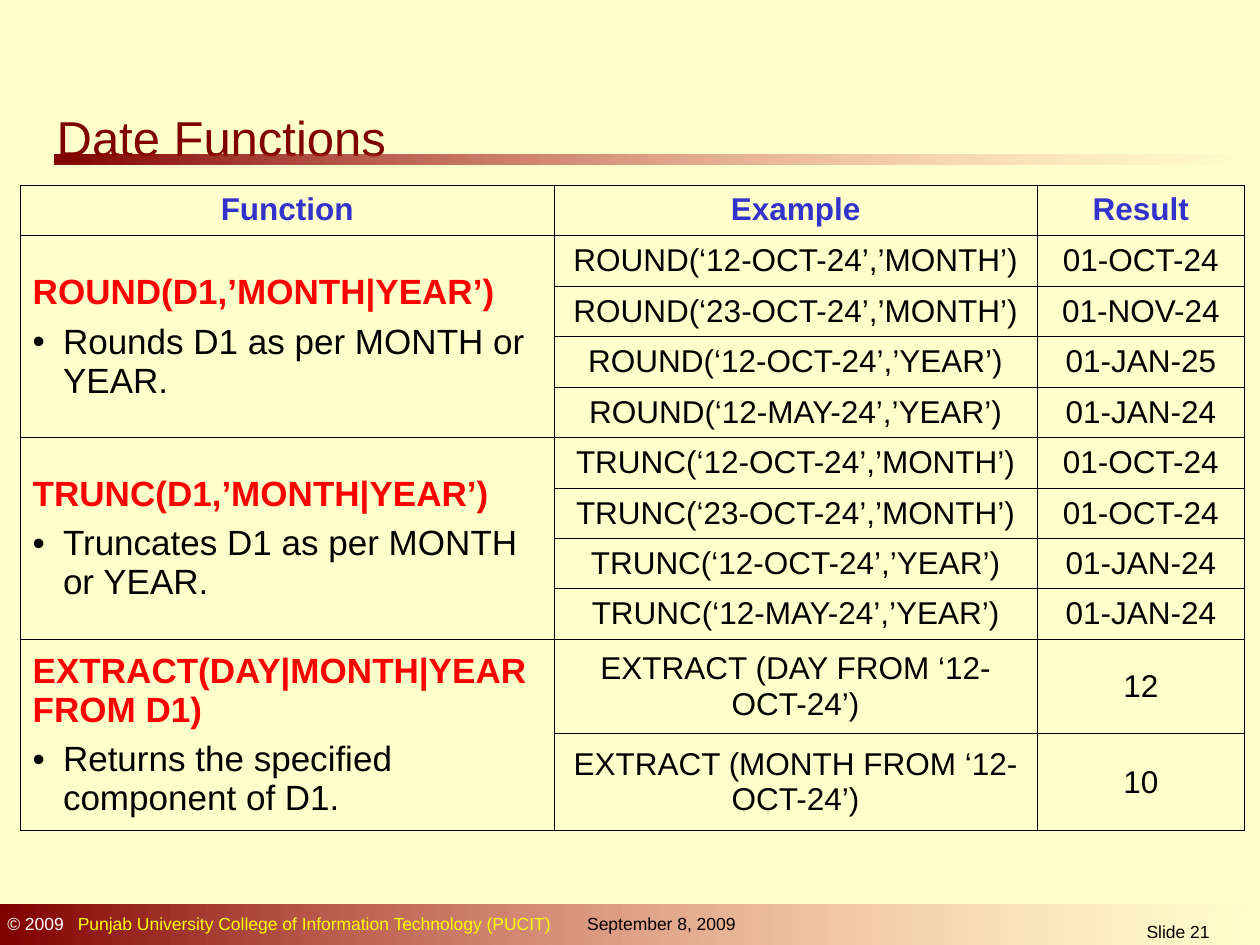
from dataclasses import dataclass
from typing import NamedTuple

from lxml.etree import SubElement
from pptx import Presentation
from pptx.dml.color import RGBColor
from pptx.enum.shapes import MSO_SHAPE
from pptx.enum.text import MSO_ANCHOR, MSO_AUTO_SIZE, PP_ALIGN
from pptx.oxml import parse_xml
from pptx.oxml.ns import nsdecls, qn
from pptx.util import Emu, Pt

EMU_PER_PX = 9144  # 100 px to the inch


@dataclass(frozen=True)
class Theme:
    font: str = "Arial"
    paper: str = "FFFFCC"
    maroon: str = "800000"
    fade: str = "FF8585"
    heading: str = "3333CC"
    syntax: str = "FF0000"
    ink: str = "000000"
    white: str = "FFFFFF"
    yellow: str = "FFFF00"
    title_size: int = 28
    syntax_size: int = 20
    cell_size: int = 18
    footer_size: int = 10
    border_pt: float = 0.45


THEME = Theme()


class Frame(NamedTuple):
    left: int
    top: int
    width: int
    height: int

    def emu(self) -> list[Emu]:
        return [px(length) for length in self]


class Span(NamedTuple):
    text: str
    color: str
    size: int
    bold: bool = False


class Call(NamedTuple):
    example: str
    result: str


class Function(NamedTuple):
    syntax: str
    purpose: str
    calls: list[Call]


class Note(NamedTuple):
    frame: Frame
    spans: list[Span]
    align: PP_ALIGN = PP_ALIGN.LEFT
    inset: int = 10
    tab: int = 0


BARS = [Frame(43, 123, 957, 8), Frame(0, 718, 1003, 35)]
NOTES = [
    Note(Frame(-4, 720, 646, 27), [
        Span("© 2009", THEME.white, THEME.footer_size),
        Span("\tPunjab University College of Information Technology (PUCIT)",
             THEME.yellow, THEME.footer_size),
    ], tab=56),
    Note(Frame(429, 720, 181, 27),
         [Span("September 8, 2009", THEME.ink, THEME.footer_size)], inset=37),
    Note(Frame(831, 726, 208, 24),
         [Span("Slide 21", THEME.ink, THEME.footer_size)], PP_ALIGN.CENTER),
]

TABLE_FRAME = Frame(16, 147, 972, 512)
COLUMNS = [424, 383, 165]
ROWS = [40] * 9 + [75, 76]
HEADINGS = ["Function", "Example", "Result"]
FUNCTIONS = [
    Function("ROUND(D1,’MONTH|YEAR’)", "Rounds D1 as per MONTH or YEAR.", [
        Call("ROUND(‘12-OCT-24’,’MONTH’)", "01-OCT-24"),
        Call("ROUND(‘23-OCT-24’,’MONTH’)", "01-NOV-24"),
        Call("ROUND(‘12-OCT-24’,’YEAR’)", "01-JAN-25"),
        Call("ROUND(‘12-MAY-24’,’YEAR’)", "01-JAN-24"),
    ]),
    Function("TRUNC(D1,’MONTH|YEAR’)", "Truncates D1 as per MONTH or YEAR.", [
        Call("TRUNC(‘12-OCT-24’,’MONTH’)", "01-OCT-24"),
        Call("TRUNC(‘23-OCT-24’,’MONTH’)", "01-OCT-24"),
        Call("TRUNC(‘12-OCT-24’,’YEAR’)", "01-JAN-24"),
        Call("TRUNC(‘12-MAY-24’,’YEAR’)", "01-JAN-24"),
    ]),
    Function("EXTRACT(DAY|MONTH|YEAR FROM D1)", "Returns the specified component of D1.", [
        Call("EXTRACT (DAY FROM ‘12-OCT-24’)", "12"),
        Call("EXTRACT (MONTH FROM ‘12-OCT-24’)", "10"),
    ]),
]


def px(length: int) -> Emu:
    return Emu(length * EMU_PER_PX)


def rgb(color: str) -> RGBColor:
    return RGBColor.from_string(color)


def write(para, spans: list[Span], align: PP_ALIGN = PP_ALIGN.LEFT) -> None:
    para.alignment = align
    for span in spans:
        run = para.add_run()
        run.text = span.text
        run.font.name = THEME.font
        run.font.size = Pt(span.size)
        run.font.bold = span.bold
        run.font.color.rgb = rgb(span.color)


def add_bar(page, frame: Frame) -> None:
    """Draw a bar that fades out to the right."""
    bar = page.shapes.add_shape(MSO_SHAPE.RECTANGLE, *frame.emu())
    bar.shadow.inherit = False
    bar.line.fill.background()
    bar.fill.gradient()
    bar.fill.gradient_angle = 0
    for stop, color, position in zip(bar.fill.gradient_stops, (THEME.maroon, THEME.fade), (0, 1)):
        stop.color.rgb = rgb(color)
        stop.position = position
    last_color = list(bar._element.spPr.iter(qn("a:srgbClr")))[-1]
    SubElement(last_color, qn("a:alpha"), val="0")


def add_note(page, note: Note) -> None:
    box = page.shapes.add_textbox(*note.frame.emu())
    box.text_frame.word_wrap = True
    box.text_frame.margin_left = px(note.inset)
    para = box.text_frame.paragraphs[0]
    if note.tab:
        tabs = SubElement(para._p.get_or_add_pPr(), qn("a:tabLst"))
        SubElement(tabs, qn("a:tab"), pos=str(px(note.tab)), algn="l")
    write(para, note.spans, note.align)


def add_title(page, text: str) -> None:
    title = page.shapes.title
    title.left, title.top, title.width, title.height = Frame(35, 76, 605, 47).emu()
    frame = title.text_frame
    frame.auto_size = MSO_AUTO_SIZE.NONE
    frame.word_wrap = True
    frame.vertical_anchor = MSO_ANCHOR.TOP
    frame.margin_top = px(9)
    write(frame.paragraphs[0], [Span(text, THEME.maroon, THEME.title_size)])


def make_bullet(para) -> None:
    props = para._p.get_or_add_pPr()
    props.set("marL", str(px(24)))
    props.set("indent", str(px(-24)))
    SubElement(SubElement(props, qn("a:buClr")), qn("a:srgbClr"), val=THEME.ink)
    SubElement(props, qn("a:buFont"), typeface=THEME.font)
    SubElement(props, qn("a:buChar"), char="•")


def outline(cell) -> None:
    cell.fill.background()
    for index, side in enumerate("LRTB"):
        cell._tc.get_or_add_tcPr().insert(index, parse_xml(
            f'<a:ln{side} {nsdecls("a")} w="{Pt(THEME.border_pt)}"><a:solidFill>'
            f'<a:srgbClr val="{THEME.ink}"/></a:solidFill></a:ln{side}>'))


def fill_centered(cell, span: Span) -> None:
    write(cell.text_frame.paragraphs[0], [span], PP_ALIGN.CENTER)


def describe(cell, function: Function) -> None:
    write(cell.text_frame.paragraphs[0],
          [Span(function.syntax, THEME.syntax, THEME.syntax_size, True)])
    para = cell.text_frame.add_paragraph()
    make_bullet(para)
    para.space_before = Pt(6)
    write(para, [Span(function.purpose, THEME.ink, THEME.syntax_size)])


def add_function_table(page) -> None:
    table = page.shapes.add_table(len(ROWS), len(COLUMNS), *TABLE_FRAME.emu()).table
    table.first_row = table.horz_banding = False
    for column, width in zip(table.columns, COLUMNS):
        column.width = px(width)
    for row, height in zip(table.rows, ROWS):
        row.height = px(height)
    for cell in table.iter_cells():
        outline(cell)
        cell.vertical_anchor = MSO_ANCHOR.MIDDLE
    for column, heading in enumerate(HEADINGS):
        cell = table.cell(0, column)
        cell.vertical_anchor = MSO_ANCHOR.TOP
        fill_centered(cell, Span(heading, THEME.heading, THEME.cell_size, True))
    first = 1
    for function in FUNCTIONS:
        after = first + len(function.calls)
        table.cell(first, 0).merge(table.cell(after - 1, 0))
        describe(table.cell(first, 0), function)
        for row, call in enumerate(function.calls, first):
            for column, text in enumerate(call, 1):
                fill_centered(table.cell(row, column), Span(text, THEME.ink, THEME.cell_size))
        first = after


def main() -> None:
    deck = Presentation()
    deck.slide_width, deck.slide_height = px(1000), px(750)
    page = deck.slides.add_slide(deck.slide_layouts[5])
    page.background.fill.solid()
    page.background.fill.fore_color.rgb = rgb(THEME.paper)
    for bar in BARS:
        add_bar(page, bar)
    for note in NOTES:
        add_note(page, note)
    add_title(page, "Date Functions")
    add_function_table(page)
    deck.save("out.pptx")


if __name__ == "__main__":
    main()
